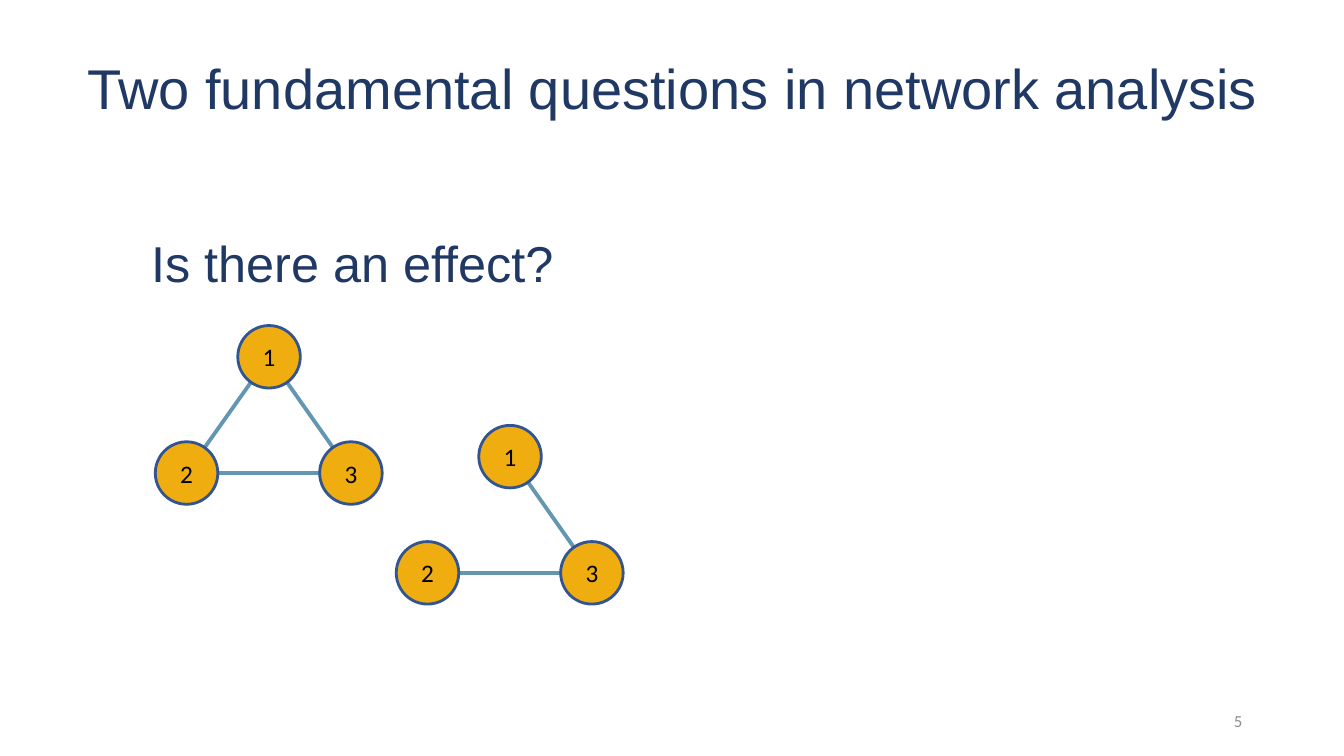
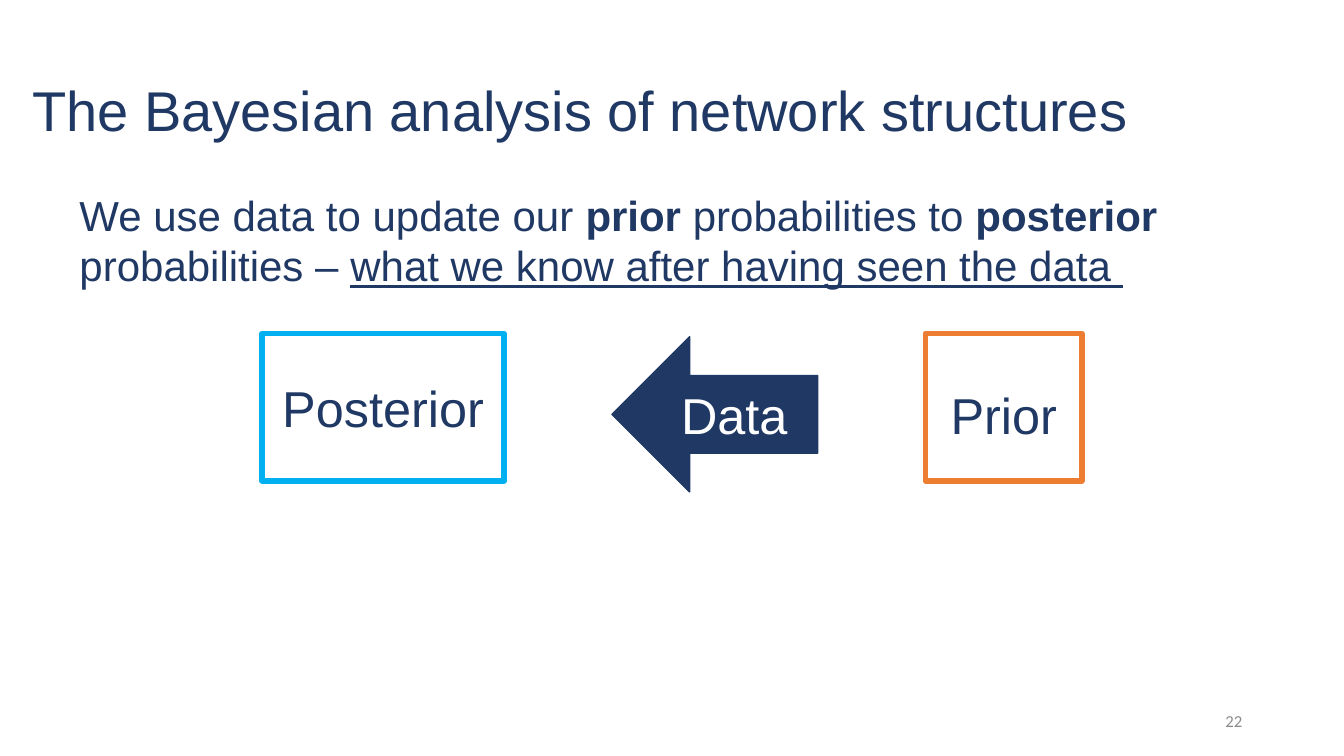
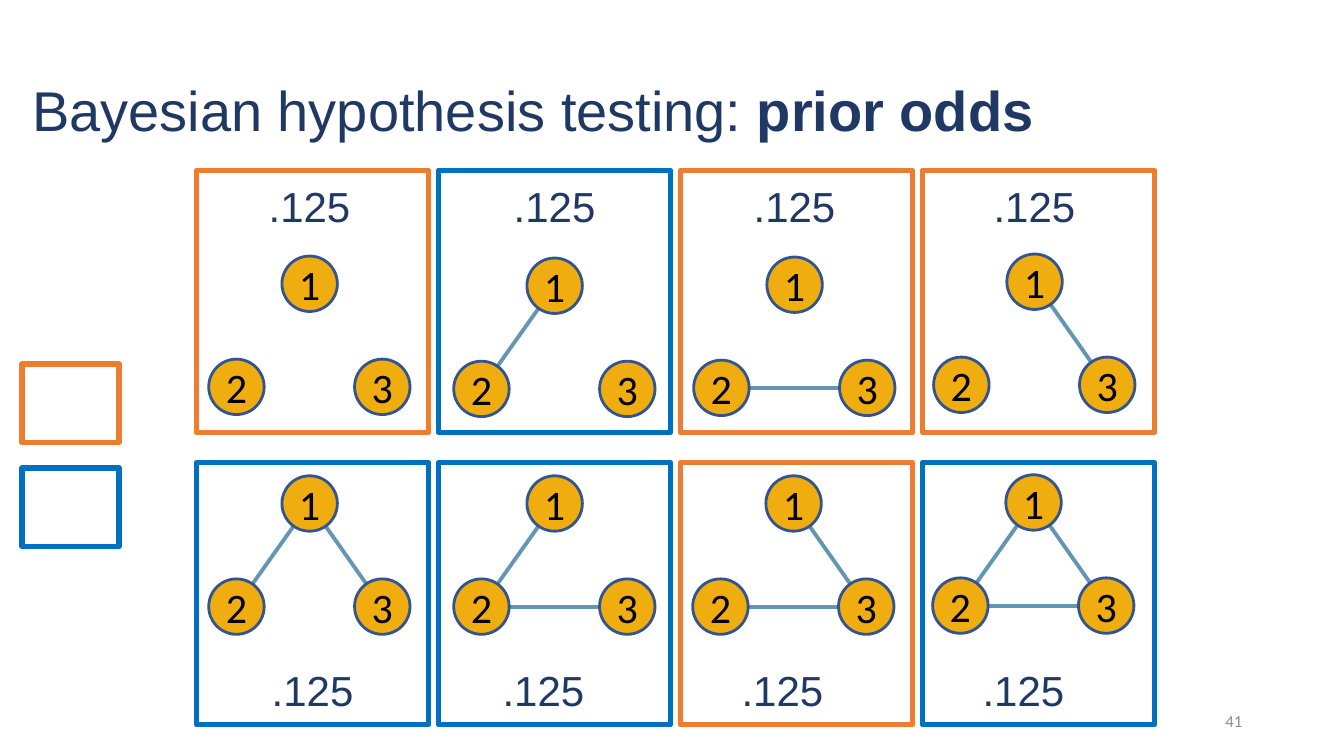
from pptx import Presentation
from pptx.dml.color import RGBColor
from pptx.enum.shapes import MSO_CONNECTOR, MSO_SHAPE
from pptx.enum.text import MSO_ANCHOR, PP_ALIGN
from pptx.oxml.ns import qn
from pptx.util import Inches, Pt
from lxml.etree import SubElement

COLORS = {
    "navy": "203864",
    "edge": "6397B1",
    "node": "F0AD0F",
    "node_line": "325491",
    "orange": "ED7D31",
    "blue": "0070C0",
    "sky": "00B0F0",
    "gray": "8C8C8C",
    "black": "000000",
    "white": "FFFFFF",
}
HEADING_FONT, BODY_FONT = "Arial", "Calibri"
TITLE_BOX = (0.22, 0.4, 12.2, 1.45)
# Node positions in a graph, in units of the node diameter
NODE_OFFSETS = {1: (1.32, 0), 2: (0, 1.86), 3: (2.63, 1.86)}


def color(name):
    return RGBColor.from_string(COLORS[name])


def inches(values):
    return [Inches(value) for value in values]


def write(shape, text, size, ink="navy", font=HEADING_FONT, align=PP_ALIGN.LEFT,
          anchor=MSO_ANCHOR.TOP, spacing=None, wrap=True):
    """Fill a shape with one paragraph; text is a string or (text, style) runs."""
    frame = shape.text_frame
    frame.word_wrap = wrap
    frame.vertical_anchor = anchor
    paragraph = frame.paragraphs[0]
    paragraph.alignment = align
    if spacing:
        paragraph.line_spacing = spacing
    paragraph.font.size = Pt(size)
    paragraph.font.name = font
    paragraph.font.color.rgb = color(ink)
    runs = [(text, None)] if isinstance(text, str) else text
    for words, style in runs:
        run = paragraph.add_run()
        run.text = words
        if style:
            setattr(run.font, style, True)


def add_text(shapes, box, text, size, **style):
    write(shapes.add_textbox(*inches(box)), text, size, **style)


def add_shape(shapes, kind, box, line, width, fill=None):
    shape = shapes.add_shape(kind, *inches(box))
    shape.shadow.inherit = False
    if fill:
        shape.fill.solid()
        shape.fill.fore_color.rgb = color(fill)
    else:
        shape.fill.background()
    shape.line.color.rgb = color(line)
    shape.line.width = Pt(width)
    return shape


def add_frame(shapes, box, line):
    add_shape(shapes, MSO_SHAPE.RECTANGLE, box, line, 4)


def add_edge(shapes, start, end):
    edge = shapes.add_connector(MSO_CONNECTOR.STRAIGHT, *inches(start + end))
    edge.line.color.rgb = color("edge")
    edge.line.width = Pt(2.75)
    SubElement(edge._element.spPr, qn("a:effectLst"))


def add_graph(slide, left, top, diameter, size, edges):
    """Draw the three-node network, with edges given as pairs of node numbers."""
    shapes = slide.shapes.add_group_shape().shapes
    corners = {number: (left + x * diameter, top + y * diameter)
               for number, (x, y) in NODE_OFFSETS.items()}
    centers = {number: (x + diameter / 2, y + diameter / 2)
               for number, (x, y) in corners.items()}
    for start, end in edges:
        add_edge(shapes, centers[start], centers[end])
    for number, corner in corners.items():
        node = add_shape(shapes, MSO_SHAPE.OVAL, corner + (diameter, diameter),
                         "node_line", 2, "node")
        frame = node.text_frame
        frame.margin_left = frame.margin_right = 0
        frame.margin_top = frame.margin_bottom = 0
        write(node, str(number), size, "black", BODY_FONT,
              PP_ALIGN.CENTER, MSO_ANCHOR.MIDDLE)


def add_slide(presentation, title, number, box=TITLE_BOX,
              align=PP_ALIGN.LEFT, anchor=MSO_ANCHOR.MIDDLE):
    slide = presentation.slides.add_slide(presentation.slide_layouts[6])
    add_text(slide.shapes, box, title, 40, align=align, anchor=anchor, spacing=0.9)
    add_text(slide.shapes, (9.42, 6.95, 3, 0.4), str(number), 12, ink="gray",
             font=BODY_FONT, align=PP_ALIGN.RIGHT, anchor=MSO_ANCHOR.MIDDLE)
    return slide


def build_questions(presentation):
    slide = add_slide(presentation, "Two fundamental questions in network analysis", 5,
                      (0, 0, 13.33, 1.26), PP_ALIGN.CENTER, MSO_ANCHOR.BOTTOM)
    add_text(slide.shapes, (1.4, 2.32, 5.75, 0.57), "Is there an effect?", 36, spacing=0.9)
    add_graph(slide, 1.54, 3.23, 0.62, 18, [(2, 3), (1, 2), (1, 3)])
    add_graph(slide, 3.93, 4.22, 0.62, 18, [(2, 3), (1, 3)])


def build_updating(presentation):
    slide = add_slide(presentation, "The Bayesian analysis of network structures", 22)
    add_text(slide.shapes, (0.69, 1.83, 11.73, 1.11), [
        ("We use data to update our ", None),
        ("prior", "bold"),
        (" probabilities to ", None),
        ("posterior", "bold"),
        (" probabilities – ", None),
        ("what we know after having seen the data ", "underline"),
    ], 30)
    shapes = slide.shapes.add_group_shape().shapes
    for label, left, width, label_top, line in [
        ("Posterior", 2.6, 2.4, 3.69, "sky"),
        ("Prior", 9.18, 1.55, 3.76, "orange"),
    ]:
        add_text(shapes, (left, label_top, width, 0.71), label, 36, align=PP_ALIGN.CENTER)
        add_frame(shapes, (left, 3.31, width, 1.46), line)
    arrow = add_shape(shapes, MSO_SHAPE.LEFT_ARROW, (6.07, 3.34, 2.04, 1.54),
                      "navy", 1, "navy")
    write(arrow, "Data", 36, "white", align=PP_ALIGN.CENTER, anchor=MSO_ANCHOR.MIDDLE)


def build_prior_odds(presentation):
    slide = add_slide(presentation, [("Bayesian hypothesis testing: ", None),
                                     ("prior odds", "bold")], 41)
    # Each panel: frame colour, graph left and top, label left, edges
    rows = [
        (1.69, 1.74, [
            ("orange", 2.07, 2.54, 2.56, []),
            ("blue", 4.5, 2.56, 4.99, [(1, 2)]),
            ("orange", 6.88, 2.55, 7.37, [(2, 3)]),
            ("orange", 9.26, 2.52, 9.75, [(1, 3)]),
        ]),
        (4.59, 6.54, [
            ("blue", 2.07, 4.72, 2.59, [(1, 2), (1, 3)]),
            ("blue", 4.5, 4.72, 4.88, [(2, 3), (1, 2)]),
            ("orange", 6.87, 4.72, 7.25, [(2, 3), (1, 3)]),
            ("blue", 9.25, 4.71, 9.64, [(2, 3), (1, 2), (1, 3)]),
        ]),
    ]
    for top, label_top, panels in rows:
        for column, (line, left, graph_top, label_left, edges) in enumerate(panels):
            add_graph(slide, left, graph_top, 0.55, 30, edges)
            add_text(slide.shapes, (label_left, label_top, 1.02, 0.6), ".125", 30,
                     align=PP_ALIGN.CENTER, wrap=False)
            add_frame(slide.shapes, (1.95 + 2.4 * column, top, 2.3, 2.6), line)
    for top, line in [(3.61, "orange"), (4.64, "blue")]:
        add_frame(slide.shapes, (0.22, top, 0.96, 0.78), line)


def main():
    presentation = Presentation()
    presentation.slide_width = Inches(13.33)
    presentation.slide_height = Inches(7.5)
    build_questions(presentation)
    build_updating(presentation)
    build_prior_odds(presentation)
    presentation.save("out.pptx")


if __name__ == "__main__":
    main()
